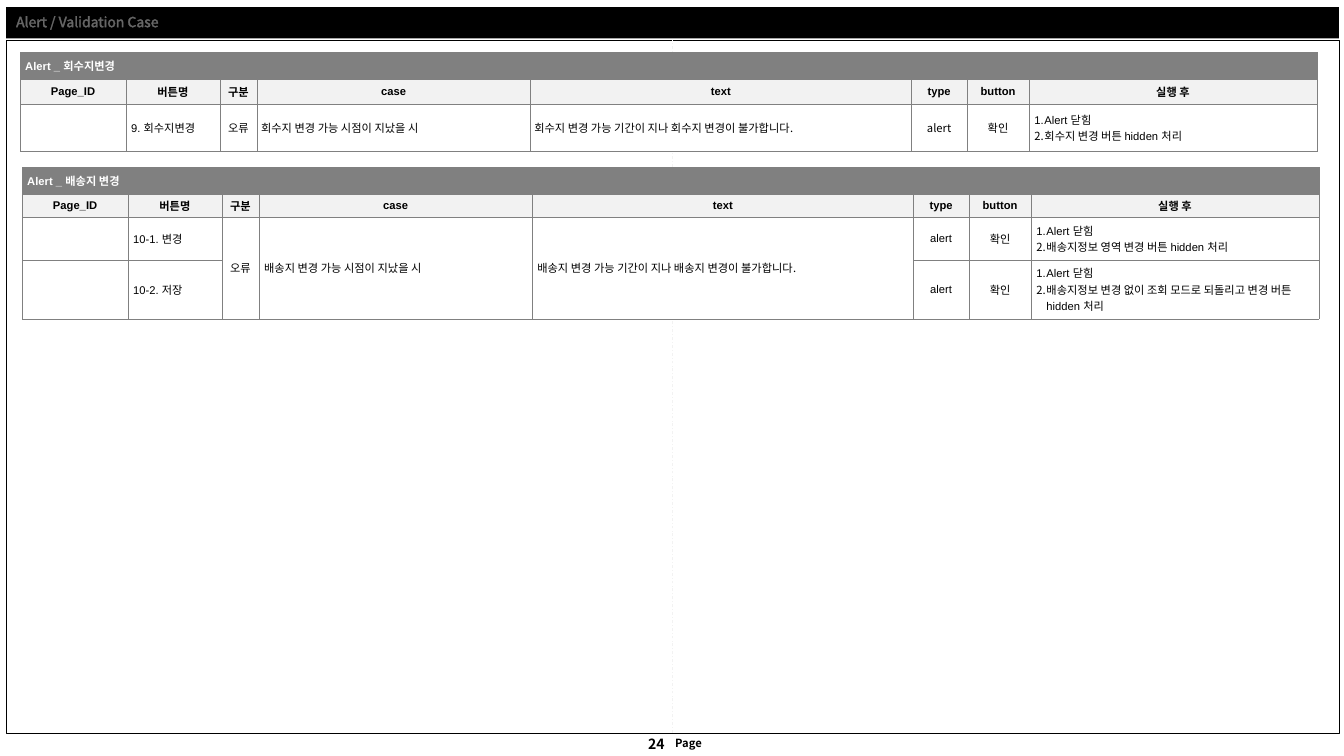
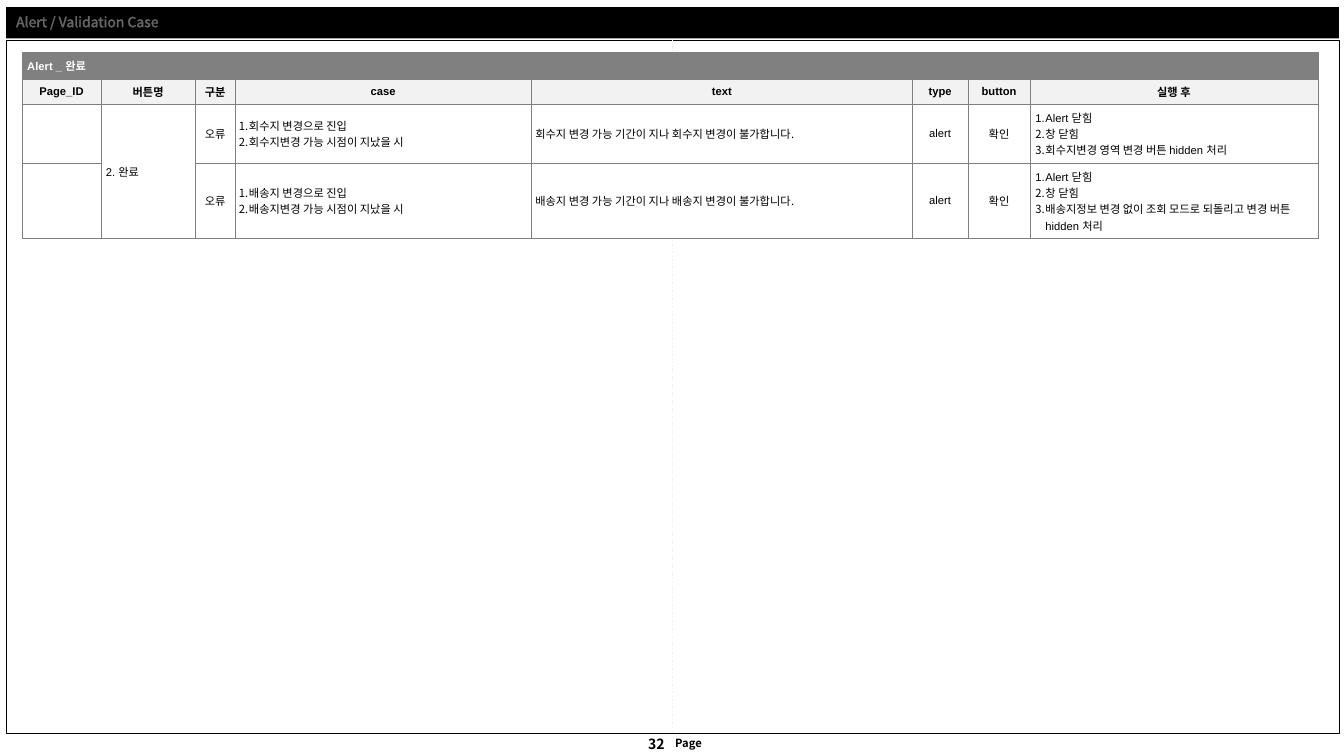
"""Build two slides listing the alert and validation cases of a web shop."""
from dataclasses import dataclass

from lxml import etree
from pptx import Presentation
from pptx.dml.color import RGBColor
from pptx.enum.dml import MSO_LINE
from pptx.enum.shapes import MSO_CONNECTOR, MSO_SHAPE
from pptx.enum.text import MSO_ANCHOR, MSO_AUTO_SIZE, PP_ALIGN
from pptx.oxml.ns import qn
from pptx.util import Inches, Pt

LEFT, CENTER, RIGHT = PP_ALIGN.LEFT, PP_ALIGN.CENTER, PP_ALIGN.RIGHT
MIDDLE = MSO_ANCHOR.MIDDLE
NO_AUTOFIT = MSO_AUTO_SIZE.NONE
DASH_DOT = MSO_LINE.DASH_DOT
RECTANGLE = MSO_SHAPE.RECTANGLE
STRAIGHT = MSO_CONNECTOR.STRAIGHT

BLACK, WHITE = "000000", "FFFFFF"
GRAY, LIGHT_GRAY = "808080", "F2F2F2"
LATIN_FONT, KOREAN_FONT = "Arial", "Noto Sans CJK KR"

TITLE = "Alert / Validation Case"
HEADERS = ("Page_ID", "버튼명", "구분", "case", "text", "type", "button", "실행 후")
CASE, TEXT, TYPE = 3, 4, 5
CENTERED_COLUMNS = (2, 5, 6)
COMMON_WIDTHS = (3.78, 0.55, 0.62, 2.85)
WIDE_ID = (1.05, 0.93, 0.37, 2.71) + COMMON_WIDTHS
NARROW_ID = (0.78, 0.94, 0.39, 2.94) + COMMON_WIDTHS
EVEN_INSETS = (0.05, 0.05, 0.05, 0.05)
TIGHT_INSETS = (0.04, 0.05, 0, 0.05)
RETURN_TO_VIEW = "배송지정보 변경 없이 조회 모드로 되돌리고 변경 버튼 hidden 처리"
PICKUP_EXPIRED = "회수지 변경 가능 기간이 지나 회수지 변경이 불가합니다."
DELIVERY_EXPIRED = "배송지 변경 가능 기간이 지나 배송지 변경이 불가합니다."


@dataclass(frozen=True)
class TextStyle:
    """Look of a piece of text."""

    size: float = 8
    font: str = LATIN_FONT
    color: str = BLACK
    bold: bool = False
    align: int = LEFT


@dataclass(frozen=True)
class AlertTable:
    """One table of alerts; spans hold first row, first column, last row, last column."""

    name: str
    left: float
    top: float
    widths: tuple[float, ...]
    heights: tuple[float, ...]
    rows: tuple[tuple[str, ...], ...]
    spans: tuple[tuple[int, int, int, int], ...] = ()
    message_insets: tuple[float, ...] = TIGHT_INSETS
    type_font: str = LATIN_FONT


@dataclass(frozen=True)
class AlertPage:
    """One slide: its page number and tables."""

    number: int
    tables: tuple[AlertTable, ...]


PAGES = (
    AlertPage(24, (
        AlertTable(
            "Alert _ 배송지 변경", 0.22, 1.66, WIDE_ID, (0.23, 0.23, 0.35, 0.45),
            (
                ("", "10-1. 변경", "오류", "배송지 변경 가능 시점이 지났을 시", DELIVERY_EXPIRED,
                 "alert", "확인", "Alert 닫힘\n배송지정보 영역 변경 버튼 hidden 처리"),
                ("", "10-2. 저장", "", "", "",
                 "alert", "확인", f"Alert 닫힘\n{RETURN_TO_VIEW}"),
            ),
            spans=tuple((2, column, 3, column) for column in (2, CASE, TEXT)),
            message_insets=EVEN_INSETS,
        ),
        AlertTable(
            "Alert _ 회수지변경", 0.2, 0.52, WIDE_ID, (0.25, 0.25, 0.47),
            (
                ("", "9. 회수지변경", "오류", "회수지 변경 가능 시점이 지났을 시", PICKUP_EXPIRED,
                 "alert", "확인", "Alert 닫힘\n회수지 변경 버튼 hidden 처리"),
            ),
            type_font=KOREAN_FONT,
        ),
    )),
    AlertPage(32, (
        AlertTable(
            "Alert _ 완료", 0.22, 0.52, NARROW_ID, (0.25, 0.25, 0.32, 0.32),
            (
                ("", "2. 완료", "오류", "회수지 변경으로 진입\n회수지변경 가능 시점이 지났을 시",
                 PICKUP_EXPIRED, "alert", "확인",
                 "Alert 닫힘\n창 닫힘\n회수지변경 영역 변경 버튼 hidden 처리"),
                ("", "", "오류", "배송지 변경으로 진입\n배송지변경 가능 시점이 지났을 시",
                 DELIVERY_EXPIRED, "alert", "확인",
                 f"Alert 닫힘\n창 닫힘\n{RETURN_TO_VIEW}"),
            ),
            spans=((2, 1, 3, 1),),
        ),
    )),
)


def rgb(value: str) -> RGBColor:
    """Turn a hex string into a colour."""
    return RGBColor.from_string(value)


def apply_format(target, values: dict) -> None:
    """Set each named attribute on the target."""
    for name, value in values.items():
        setattr(target, name, value)


def add_solid_fill(parent, color: str):
    """Append a solid fill element and return its colour element."""
    fill = etree.SubElement(parent, qn("a:solidFill"))
    return etree.SubElement(fill, qn("a:srgbClr"), val=color)


def write_paragraph(paragraph, text: str, style: TextStyle):
    """Fill a paragraph with one styled run and return the run."""
    paragraph.alignment = style.align
    run = paragraph.add_run()
    run.text = text
    apply_format(run.font, {"size": Pt(style.size), "bold": style.bold, "name": style.font})
    run.font.color.rgb = rgb(style.color)
    etree.SubElement(run.font._element, qn("a:ea"), typeface=KOREAN_FONT)
    return run


def number_paragraph(paragraph) -> None:
    """Give a paragraph an automatic number and a hanging indent."""
    properties = paragraph._p.get_or_add_pPr()
    properties.set("marL", str(Inches(0.1)))
    properties.set("indent", str(Inches(-0.1)))
    etree.SubElement(properties, qn("a:buFont"), typeface="+mj-lt")
    etree.SubElement(properties, qn("a:buAutoNum"), type="arabicPeriod")


def add_title(slide) -> None:
    """Place the title in its black band."""
    title = slide.shapes.title
    apply_format(title, {"left": Inches(0.06), "top": Inches(0.07),
                         "width": Inches(13.22), "height": Inches(0.31)})
    title.fill.solid()
    title.fill.fore_color.rgb = rgb(BLACK)
    apply_format(title.text_frame, {"vertical_anchor": MIDDLE, "word_wrap": True,
                                    "auto_size": NO_AUTOFIT})
    paragraph = title.text_frame.paragraphs[0]
    paragraph.line_spacing = 0.9
    run = write_paragraph(paragraph, TITLE, TextStyle(10, KOREAN_FONT, WHITE))
    outline = etree.Element(qn("a:ln"), w=str(Pt(0.75)))
    etree.SubElement(add_solid_fill(outline, WHITE), qn("a:alpha"), val="40000")
    run.font._element.insert(0, outline)


def add_frame(slide) -> None:
    """Draw the page frame and its dashed centre line."""
    frame = slide.shapes.add_shape(
        RECTANGLE, Inches(0.06), Inches(0.4), Inches(13.22), Inches(6.87))
    frame.shadow.inherit = False
    frame.fill.solid()
    frame.fill.fore_color.rgb = rgb(WHITE)
    frame.line.color.rgb = rgb(BLACK)
    frame.line.width = Pt(0.25)
    center_line = slide.shapes.add_connector(
        STRAIGHT, Inches(6.67), Inches(7.27), Inches(6.67), Inches(0.4))
    center_line.begin_connect(frame, 2)
    center_line.end_connect(frame, 0)
    center_line.line.color.rgb = rgb(LIGHT_GRAY)
    apply_format(center_line.line, {"width": Pt(0.5), "dash_style": DASH_DOT})
    etree.SubElement(center_line._element.spPr, qn("a:effectLst"))


def add_label(slide, text: str, box: tuple[float, ...], inset: float, wrap: bool,
              style: TextStyle):
    """Add a footer text box and return its paragraph."""
    label = slide.shapes.add_textbox(*(Inches(length) for length in box))
    apply_format(label.text_frame, {"word_wrap": wrap, "auto_size": NO_AUTOFIT,
                                    "margin_left": Inches(inset),
                                    "margin_right": Inches(inset)})
    paragraph = label.text_frame.paragraphs[0]
    write_paragraph(paragraph, text, style)
    return paragraph


def add_footer(slide, number: int) -> None:
    """Add the page label and page number."""
    page = add_label(slide, "Page", (6.61, 7.26, 0.44, 0.23), 0.05, False,
                     TextStyle(8, KOREAN_FONT, bold=True, align=CENTER))
    page.space_before = Pt(1.6)
    add_label(slide, str(number), (6.12, 7.25, 0.57, 0.27), 0.1, True,
              TextStyle(10, KOREAN_FONT, bold=True, align=RIGHT))


def format_cell(cell, fill: str, insets: tuple[float, ...]) -> None:
    """Set the fill, insets, anchor and borders of a cell."""
    cell.fill.solid()
    cell.fill.fore_color.rgb = rgb(fill)
    sides = ("margin_left", "margin_top", "margin_right", "margin_bottom")
    apply_format(cell, dict(zip(sides, map(Inches, insets))))
    cell.vertical_anchor = MIDDLE
    properties = cell._tc.get_or_add_tcPr()
    for position, side in enumerate(("lnL", "lnR", "lnT", "lnB")):
        border = etree.Element(qn(f"a:{side}"), w=str(Pt(0.25)))
        add_solid_fill(border, GRAY)
        properties.insert(position, border)


def write_cell(cell, text: str, style: TextStyle) -> None:
    """Write the lines of a cell, numbered when there are several."""
    lines = text.split("\n") if text else []
    for index, line in enumerate(lines):
        frame = cell.text_frame
        paragraph = frame.add_paragraph() if index else frame.paragraphs[0]
        write_paragraph(paragraph, line, style)
        if len(lines) > 1:
            number_paragraph(paragraph)


def body_style(alerts: AlertTable, column: int) -> TextStyle:
    """Choose the text style of a body column."""
    fonts = {CASE: KOREAN_FONT, TEXT: KOREAN_FONT, TYPE: alerts.type_font}
    align = CENTER if column in CENTERED_COLUMNS else LEFT
    return TextStyle(font=fonts.get(column, LATIN_FONT), align=align)


def add_alert_table(slide, alerts: AlertTable) -> None:
    """Draw one table with its name row, header row and alerts."""
    table = slide.shapes.add_table(
        len(alerts.heights), len(HEADERS), Inches(alerts.left), Inches(alerts.top),
        Inches(sum(alerts.widths)), Inches(sum(alerts.heights))).table
    apply_format(table, {"first_row": False, "horz_banding": False})
    for column, width in zip(table.columns, alerts.widths):
        column.width = Inches(width)
    for row, height in zip(table.rows, alerts.heights):
        row.height = Inches(height)
    name_row = (alerts.name,) + ("",) * (len(HEADERS) - 1)
    for row, texts in enumerate((name_row, HEADERS) + alerts.rows):
        for column, text in enumerate(texts):
            fill, insets = WHITE, EVEN_INSETS
            style = body_style(alerts, column)
            if row == 0:
                fill, style = GRAY, TextStyle(color=WHITE, bold=True)
            elif row == 1:
                side = 0.04 if 1 <= column <= CASE else 0
                fill, insets = LIGHT_GRAY, (side, 0, side, 0)
                style = TextStyle(bold=True, align=CENTER)
            elif column in (CASE, TEXT):
                insets = alerts.message_insets
            cell = table.cell(row, column)
            format_cell(cell, fill, insets)
            write_cell(cell, text, style)
    name_span = (0, 0, 0, len(HEADERS) - 1)
    for first_row, first_column, last_row, last_column in (name_span,) + alerts.spans:
        table.cell(first_row, first_column).merge(table.cell(last_row, last_column))


def main() -> None:
    """Build and save the presentation."""
    presentation = Presentation()
    apply_format(presentation, {"slide_width": Inches(13.33), "slide_height": Inches(7.5)})
    for page in PAGES:
        slide = presentation.slides.add_slide(presentation.slide_layouts[5])
        add_frame(slide)
        add_footer(slide, page.number)
        add_title(slide)
        for alerts in page.tables:
            add_alert_table(slide, alerts)
    presentation.save("out.pptx")


if __name__ == "__main__":
    main()
